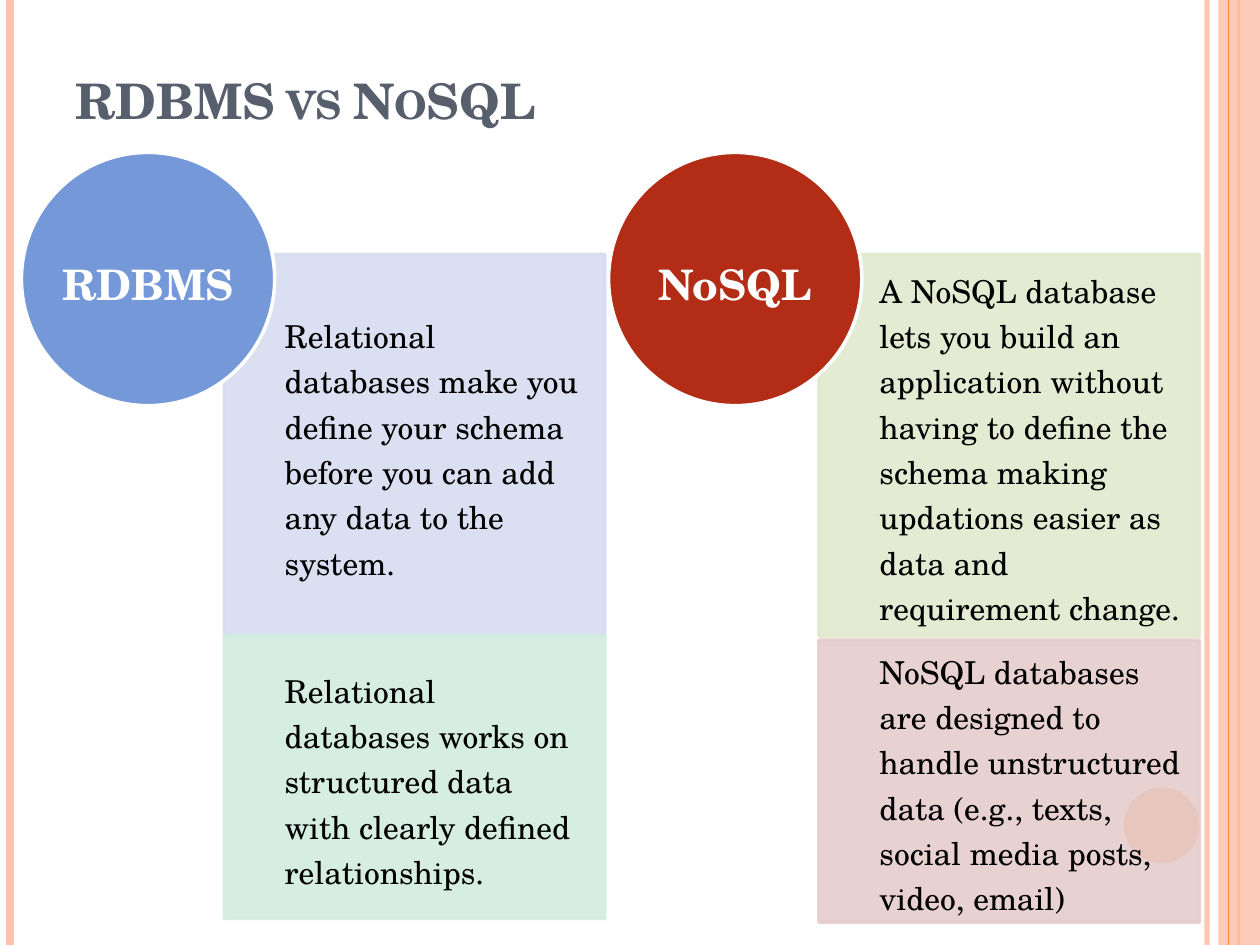
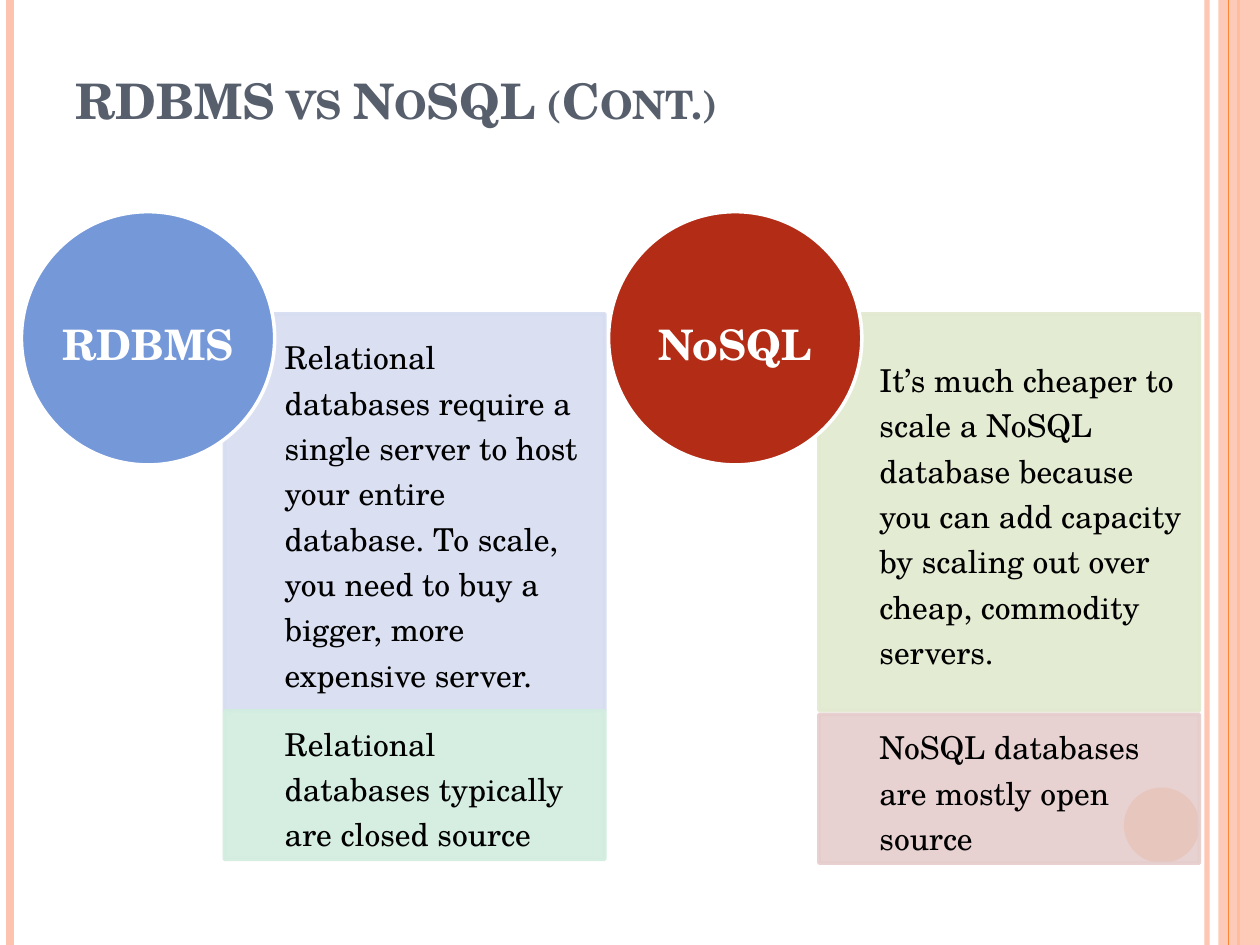
from pptx import Presentation
from pptx import util as u
from pptx.dml.color import RGBColor
from pptx.enum import shapes, text
from pptx.oxml.ns import qn
from lxml import etree

FONT = "TeX Gyre Schola"
TITLE_COLOUR, PALE, ORANGE = "575F6D", "FEC3AE", "FE8637"
WHITE, BLACK = "FFFFFF", "000000"
WIDTH, HEIGHT = 10, 7.5
BOX_WIDTH, CIRCLE_SIZE = 3.02, 2.01
BOX_DROP = 0.81  # from the top of the circle to the top of the first box

# heading, circle left, circle colour, box left, box colours, gap between boxes
COLUMNS = [
    ("RDBMS", 0.17, "7598D9", 1.78, ("D6DDF1", "D2EDDF"), 0),
    ("NoSQL", 4.83, "B32C16", 6.5, ("E2E9CF", "E5CDCC"), 0.03),
]

# title, circle top, box heights, box texts for each column
COMPARISONS = [
    ("RDBMS vs NoSQL", 1.21, (3.03, 2.24), [
        ("Relational databases make you define your schema before you can "
         "add any data to the system.",
         "Relational databases works on structured data with clearly defined "
         "relationships.\u00a0"),
        ("A NoSQL database lets you build an application without having to "
         "define the schema making updations easier as data and requirement "
         "change.",
         "NoSQL databases are designed to handle unstructured data (e.g., "
         "texts, social media posts, video, email)"),
    ]),
    ("RDBMS vs NoSQL (Cont.)", 1.68, (3.15, 1.18), [
        ("Relational databases require a single server to host your entire "
         "database. To scale, you need to buy a bigger, more expensive "
         "server.",
         "Relational databases typically are closed source"),
        ("It’s much cheaper to scale a NoSQL database because you can add "
         "capacity by scaling out over cheap, commodity servers.",
         "NoSQL databases are mostly open source"),
    ]),
]


def set_colour(colour_format, colour):
    colour_format.rgb = RGBColor.from_string(colour)


def set_opacity(fill, percent):
    """Make a solid fill, of a shape or of a line, partly transparent."""
    colour = fill._xPr.find(qn("a:solidFill"))[0]
    etree.SubElement(colour, qn("a:alpha")).set("val", str(percent * 1000))


def set_font(paragraph, size, colour, bold=False):
    font = paragraph.font
    font.name, font.size, font.bold = FONT, u.Pt(size), bold
    set_colour(font.color, colour)


def add_filled_shape(slide, kind, left, top, width, height, colour,
                     opacity=100, line_colour=None):
    shape = slide.shapes.add_shape(
        kind, *(u.Inches(length) for length in (left, top, width, height)))
    shape.shadow.inherit = False
    fills = [shape.fill]
    shape.fill.solid()
    set_colour(shape.fill.fore_color, colour)
    if line_colour:
        shape.line.width = u.Pt(2)
        set_colour(shape.line.color, line_colour)
        fills.append(shape.line.fill)
    else:
        shape.line.fill.background()
    if opacity < 100:
        for fill in fills:
            set_opacity(fill, opacity)
    return shape


def add_vertical_line(slide, x, colour, width, opacity=100):
    line = slide.shapes.add_connector(
        shapes.MSO_CONNECTOR.STRAIGHT,
        u.Inches(x), 0, u.Inches(x), u.Inches(HEIGHT))
    set_colour(line.line.color, colour)
    line.line.width = u.Pt(width)
    if opacity < 100:
        set_opacity(line.line.fill, opacity)
    etree.SubElement(line._element.spPr, qn("a:effectLst"))


def add_side_bands(slide):
    add_vertical_line(slide, 9.58, PALE, 3, 93)
    add_vertical_line(slide, 0.08, PALE, 4.5)
    add_vertical_line(slide, 9.83, ORANGE, 1.5)
    add_filled_shape(slide, shapes.MSO_SHAPE.RECTANGLE,
                     9.67, 0, 0.33, HEIGHT, PALE, 87)
    add_vertical_line(slide, 9.75, ORANGE, 0.75)
    add_filled_shape(slide, shapes.MSO_SHAPE.OVAL,
                     8.92, 6.25, 0.6, 0.6, ORANGE)


def set_title(slide, words):
    title = slide.shapes.title
    title.left, title.top = u.Inches(0.5), u.Inches(-0.17)
    title.width, title.height = u.Inches(8.17), u.Inches(1.25)
    frame = title.text_frame
    frame.text = words
    frame.auto_size = text.MSO_AUTO_SIZE.NONE
    frame.vertical_anchor = text.MSO_ANCHOR.BOTTOM
    paragraph = frame.paragraphs[0]
    paragraph.alignment = text.PP_ALIGN.LEFT
    set_font(paragraph, 28, TITLE_COLOUR, bold=True)
    paragraph.runs[0]._r.get_or_add_rPr().set("cap", "small")


def write_text(shape, words, size, colour, alignment, margins, bold=False):
    """Margins are left, top, right and bottom, in inches."""
    frame = shape.text_frame
    frame.text = words
    frame.word_wrap = True
    frame.vertical_anchor = text.MSO_ANCHOR.MIDDLE
    (frame.margin_left, frame.margin_top, frame.margin_right,
     frame.margin_bottom) = (u.Inches(margin) for margin in margins)
    paragraph = frame.paragraphs[0]
    paragraph.alignment = alignment
    paragraph.line_spacing = 1.2
    set_font(paragraph, size, colour, bold)


def add_column(slide, column, circle_top, box_heights, box_texts):
    heading, circle_left, circle_colour, box_left, box_colours, gap = column
    top = circle_top + BOX_DROP
    for height, colour, words in zip(box_heights, box_colours, box_texts):
        box = add_filled_shape(slide, shapes.MSO_SHAPE.RECTANGLE, box_left,
                               top, BOX_WIDTH, height, colour, 90, colour)
        write_text(box, words, 18, BLACK, text.PP_ALIGN.LEFT,
                   (0.48, 0.14, 0.14, 0.14))
        top += height + gap
    circle = add_filled_shape(slide, shapes.MSO_SHAPE.OVAL, circle_left,
                              circle_top, CIRCLE_SIZE, CIRCLE_SIZE,
                              circle_colour, line_colour=WHITE)
    write_text(circle, heading, 24, WHITE, text.PP_ALIGN.CENTER,
               (0, 0, 0, 0), bold=True)


def main():
    presentation = Presentation()
    presentation.slide_width = u.Inches(WIDTH)
    presentation.slide_height = u.Inches(HEIGHT)
    for title, circle_top, box_heights, column_texts in COMPARISONS:
        slide = presentation.slides.add_slide(presentation.slide_layouts[5])
        add_side_bands(slide)
        set_title(slide, title)
        for column, box_texts in zip(COLUMNS, column_texts):
            add_column(slide, column, circle_top, box_heights, box_texts)
    presentation.save("out.pptx")


if __name__ == "__main__":
    main()
